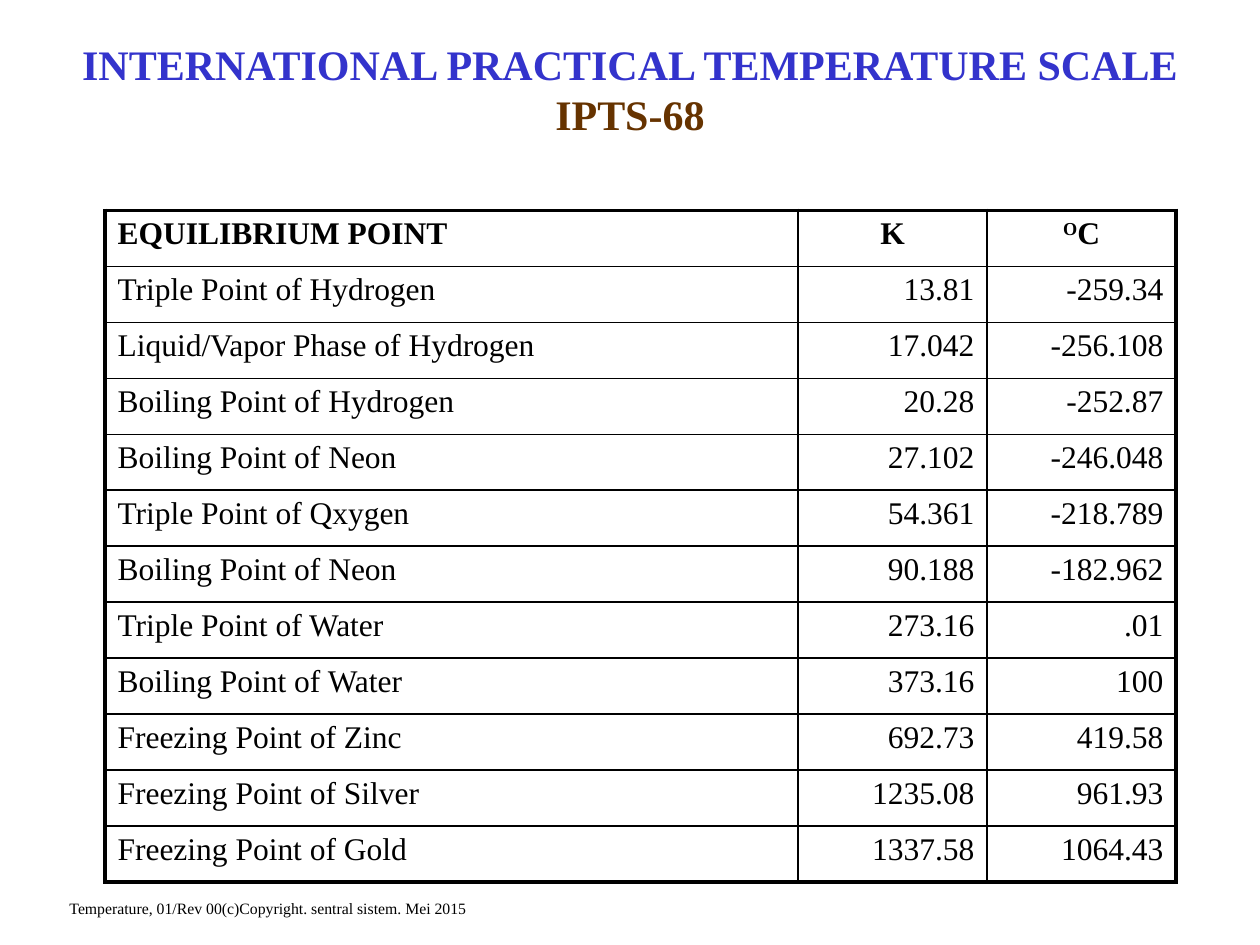
from lxml import etree
from pptx import Presentation
from pptx import util as u
from pptx.dml.color import RGBColor
from pptx.enum import text
from pptx.oxml.ns import qn

COLORS = {"title": "3333CC", "code": "663300", "ink": "000000", "paper": "FFFFFF"}
FONT = "Times New Roman"
W, H = 10, 7.5
OUTER, INNER = 2.25, 1
AL = text.PP_ALIGN

HEADER = ("EQUILIBRIUM POINT", "K", "OC")
POINTS = [
    ("Triple Point of Hydrogen", "13.81", "-259.34"),
    ("Liquid/Vapor Phase of Hydrogen", "17.042", "-256.108"),
    ("Boiling Point of Hydrogen", "20.28", "-252.87"),
    ("Boiling Point of Neon", "27.102", "-246.048"),
    ("Triple Point of Qxygen", "54.361", "-218.789"),
    ("Boiling Point of Neon", "90.188", "-182.962"),
    ("Triple Point of Water", "273.16", ".01"),
    ("Boiling Point of Water", "373.16", "100"),
    ("Freezing Point of Zinc", "692.73", "419.58"),
    ("Freezing Point of Silver", "1235.08", "961.93"),
    ("Freezing Point of Gold", "1337.58", "1064.43"),
]


def rgb(name):
    return RGBColor.from_string(COLORS[name])


def add_run(p, words, size, color="ink", bold=False):
    r = p.add_run()
    r.text = words
    for key, value in {"name": FONT, "size": u.Pt(size), "bold": bold}.items():
        setattr(r.font, key, value)
    r.font.color.rgb = rgb(color)
    return r


def place(sp, box):
    for key, value in zip(("left", "top", "width", "height"), box):
        setattr(sp, key, u.Inches(value))


def add_title(s, box):
    sp = s.shapes.title
    place(sp, box)
    tf = sp.text_frame
    tf.auto_size = text.MSO_AUTO_SIZE.NONE
    tf.vertical_anchor = text.MSO_ANCHOR.MIDDLE
    p = tf.paragraphs[0]
    p.alignment = AL.CENTER
    add_run(p, "INTERNATIONAL PRACTICAL TEMPERATURE SCALE", 24, "title", True)
    # The line break needs the size of the text around it
    p.add_line_break()
    br = p._p.find(qn("a:br"))
    etree.SubElement(br, qn("a:rPr")).set("sz", "2400")
    add_run(p, "IPTS-68", 24, "code", True)


def set_borders(cell, widths):
    tc_pr = cell._tc.get_or_add_tcPr()
    for i, (side, width) in enumerate(widths.items()):
        ln = etree.Element(qn(f"a:ln{side}"), w=str(u.Pt(width)))
        fill = etree.SubElement(ln, qn("a:solidFill"))
        etree.SubElement(fill, qn("a:srgbClr")).set("val", COLORS["ink"])
        tc_pr.insert(i, ln)


def add_scale_table(s, box, shares):
    rows = [HEADER] + POINTS
    last_row, last_col = len(rows) - 1, len(shares) - 1
    table = s.shapes.add_table(len(rows), len(shares), *map(u.Inches, box)).table
    table.horz_banding = table.first_row = False
    for col, share in zip(table.columns, shares):
        col.width = u.Inches(box[2] * share / sum(shares))
    for i, row in enumerate(rows):
        table.rows[i].height = u.Inches(box[3] / len(rows))
        for j, words in enumerate(row):
            cell = table.cell(i, j)
            cell.fill.solid()
            cell.fill.fore_color.rgb = rgb("paper")
            p = cell.text_frame.paragraphs[0]
            head = i == 0
            p.alignment = AL.LEFT if j == 0 else AL.CENTER if head else AL.RIGHT
            if words == "OC":  # raised degree sign
                degree = add_run(p, words[0], 18, bold=True)
                degree.font._element.set("baseline", "30000")
                words = words[1:]
            add_run(p, words, 18, bold=head)
            edges = {"L": j == 0, "R": j == last_col, "T": head, "B": i == last_row}
            set_borders(cell, {k: OUTER if v else INNER for k, v in edges.items()})


def add_footer(s, box):
    tf = s.shapes.add_textbox(*map(u.Inches, box)).text_frame
    tf.word_wrap = True
    p = tf.paragraphs[0]
    p.alignment = AL.CENTER
    add_run(p, "Temperature, 01/Rev 00(c)Copyright. sentral sistem. Mei 2015", 9)


def main():
    prs = Presentation()
    prs.slide_width, prs.slide_height = u.Inches(W), u.Inches(H)
    s = prs.slides.add_slide(prs.slide_layouts[5])
    add_title(s, (0, 0.33, W, H / 10))
    add_scale_table(s, (W / 12, 1.67, W * 0.85, 5.33), (11, 3, 3))
    add_footer(s, (W / 40, 7.08, W * 0.375, 0.42))
    prs.save("out.pptx")


if __name__ == "__main__":
    main()
